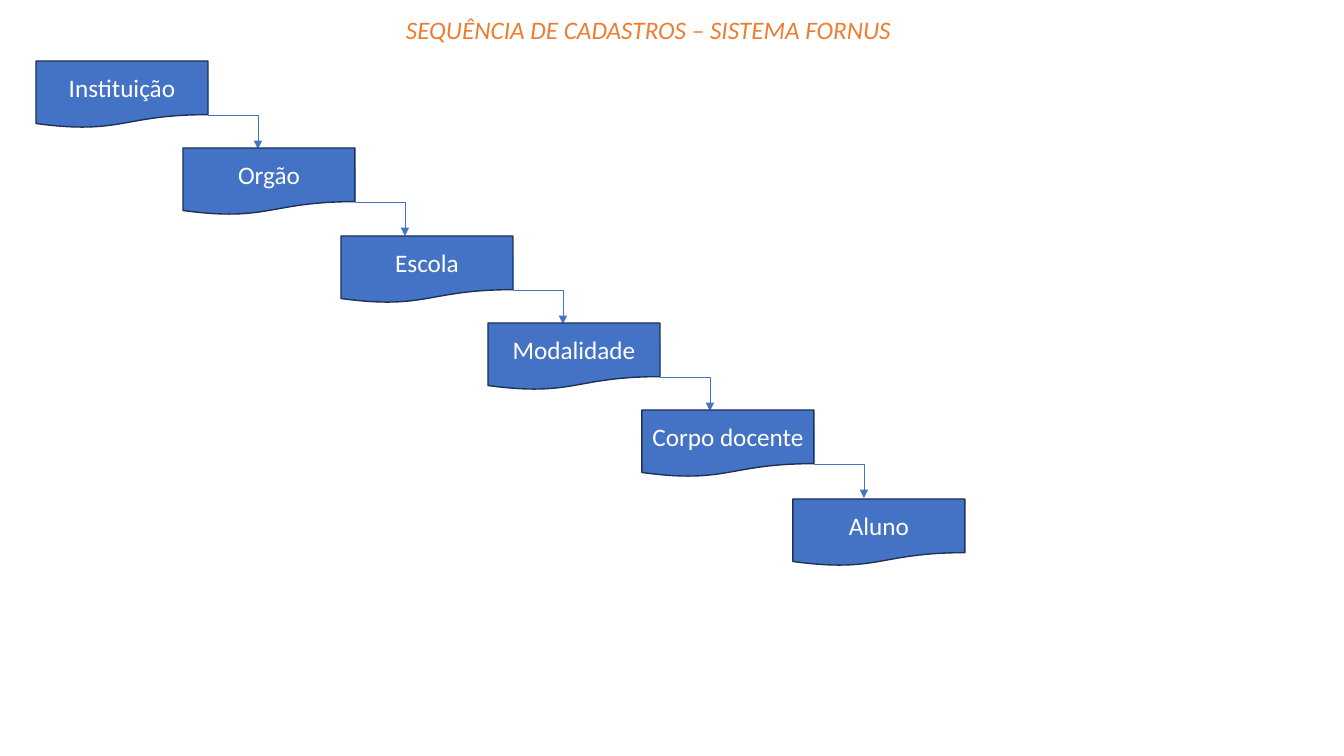
from lxml import etree
from pptx import Presentation, util as u
from pptx.dml.color import RGBColor
from pptx.enum import shapes, text
from pptx.oxml.ns import qn

PX = 914400 / 100.8
BLUE, NAVY, ORANGE, WHITE = "4472C4", "1E3256", "ED7D31", "FFFFFF"

BOX_WIDTH, BOX_HEIGHT = 172, 67
DROP, REACH = 68, 50  # height and width of each elbow arrow
STEPS = [
    ("Instituição", 36, 61),
    ("Orgão", 183, 148),
    ("Escola", 341, 236),
    ("Modalidade", 488, 323),
    ("Corpo docente", 642, 410),
    ("Aluno", 793, 499),
]


def px(*lengths):
    return [u.Emu(round(length * PX)) for length in lengths]


def color(value):
    return RGBColor.from_string(value)


def write(shape, words, hue, align, italic=False):
    para = shape.text_frame.paragraphs[0]
    para.text = words
    para.alignment = align
    font = para.runs[0].font
    font.name, font.size, font.italic = "Calibri", u.Pt(18), italic
    font.color.rgb = color(hue)


def add_title(page, words):
    title = page.shapes.add_textbox(*px(396, 9, 568, 40))
    title.text_frame.word_wrap = True
    write(title, words, ORANGE, text.PP_ALIGN.LEFT, italic=True)


def add_step(page, words, left, top):
    box = page.shapes.add_shape(shapes.MSO_SHAPE.FLOWCHART_DOCUMENT,
                                *px(left, top, BOX_WIDTH, BOX_HEIGHT))
    box.shadow.inherit = False
    box.fill.solid()
    box.fill.fore_color.rgb = color(BLUE)
    box.line.color.rgb = color(NAVY)
    box.line.width = u.Pt(1)
    box.text_frame.word_wrap = True
    box.text_frame.vertical_anchor = text.MSO_ANCHOR.MIDDLE
    write(box, words, WHITE, text.PP_ALIGN.CENTER)


def add_elbow_arrow(page, left, top):
    """Run down, right and down again from (left, top): a flipped elbow turned by 270 degrees."""
    middle_x, middle_y = left + REACH / 2, top + DROP / 2
    arrow = page.shapes.add_connector(
        shapes.MSO_CONNECTOR.ELBOW,
        *px(middle_x + DROP / 2, middle_y - REACH / 2,
            middle_x - DROP / 2, middle_y + REACH / 2))
    arrow.line.color.rgb = color(BLUE)
    arrow.line.width = u.Pt(0.5)
    properties = arrow._element.spPr
    properties.find(qn("a:xfrm")).set("rot", str(270 * 60000))
    etree.SubElement(properties.find(qn("a:ln")), qn("a:tailEnd"), type="triangle")
    etree.SubElement(properties, qn("a:effectLst"))


def main():
    deck = Presentation()
    deck.slide_width, deck.slide_height = px(1344, 756)
    page = deck.slides.add_slide(deck.slide_layouts[6])
    add_title(page, "SEQUÊNCIA DE CADASTROS – SISTEMA FORNUS")
    for number, (words, left, top) in enumerate(STEPS, start=1):
        add_step(page, words, left, top)
        if number < len(STEPS):
            add_elbow_arrow(page, left + BOX_WIDTH, top + 20)
    deck.save("out.pptx")


if __name__ == "__main__":
    main()
